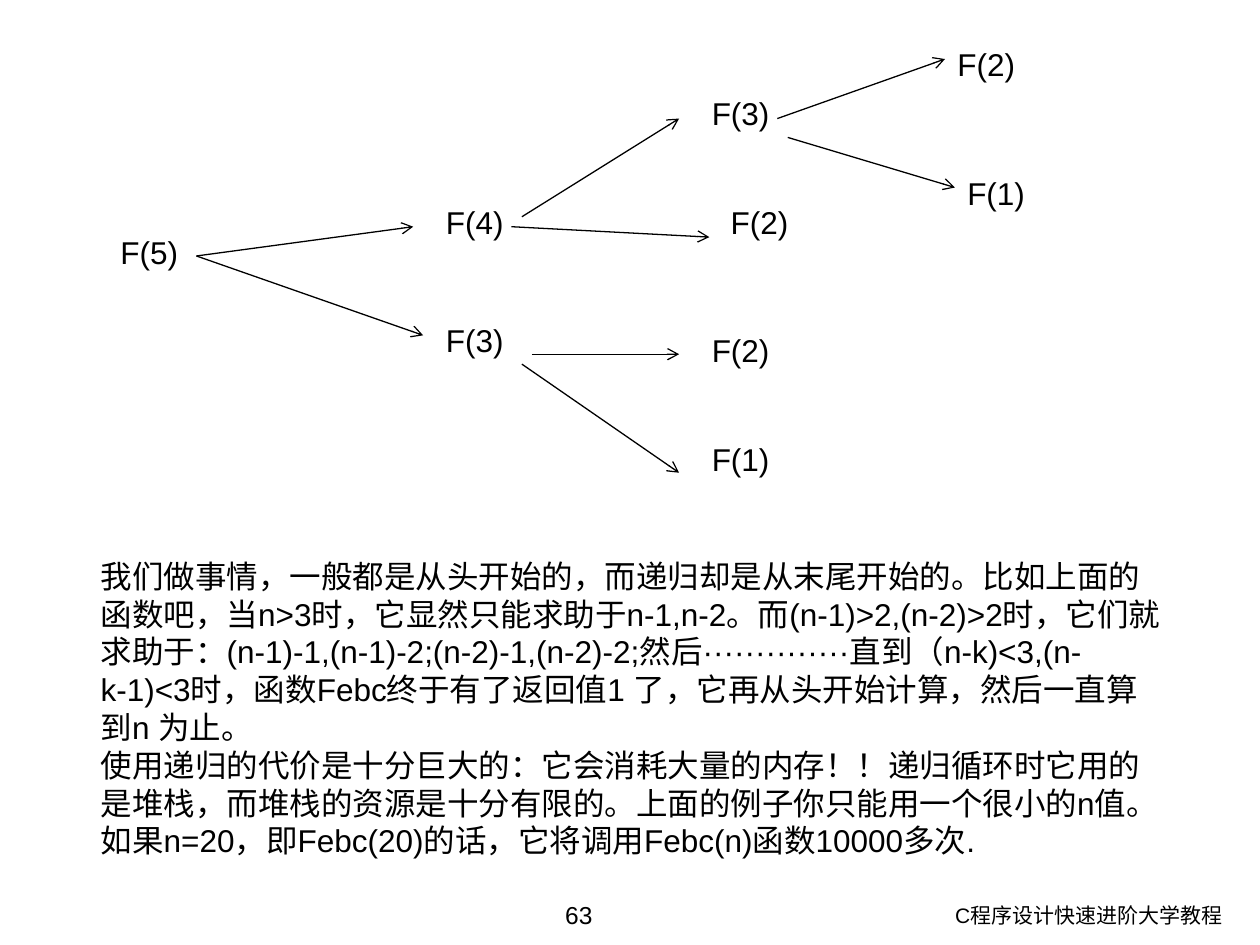
from lxml import etree
from pptx import Presentation
from pptx.dml.color import RGBColor
from pptx.enum.shapes import MSO_CONNECTOR
from pptx.enum.text import MSO_ANCHOR, PP_ALIGN
from pptx.oxml.ns import qn
from pptx.util import Cm, Pt

STRAIGHT = MSO_CONNECTOR.STRAIGHT
TOP = MSO_ANCHOR.TOP
LEFT, CENTER, RIGHT = PP_ALIGN.LEFT, PP_ALIGN.CENTER, PP_ALIGN.RIGHT
COLORS = {"ink": "000000"}
FONT = "Arial"
NODE_HEIGHT = 1.02

CALLS = [
    ("F(5)", 2.18, 4.57, 2.59),
    ("F(4)", 8.74, 3.96, 2.59),
    ("F(3)", 8.74, 6.35, 2.59),
    ("F(3)", 14.1, 1.78, 2.39),
    ("F(2)", 14.48, 3.96, 2.39),
    ("F(2)", 19.05, 0.79, 2.18),
    ("F(1)", 19.25, 3.38, 2.59),
    ("F(2)", 14.1, 6.55, 2.18),
    ("F(1)", 14.1, 8.74, 2.59),
]
ARROWS = [
    ((3.96, 5.16), (8.33, 4.57)),
    ((3.96, 5.16), (8.53, 6.76)),
    ((10.52, 4.37), (13.69, 2.39)),
    ((10.31, 4.57), (14.3, 4.78)),
    ((15.67, 2.39), (19.05, 1.19)),
    ((15.88, 2.77), (19.25, 3.78)),
    ((10.72, 7.14), (13.69, 7.14)),
    ((10.52, 7.34), (13.69, 9.53)),
]
EXPLANATION = [
    "我们做事情，一般都是从头开始的，而递归却是从末尾开始的。比如上面的函数吧，当n>3时，它显然只能求助于n-1,n-2。而(n-1)>2,(n-2)>2时，它们就求助于：(n-1)-1,(n-1)-2;(n-2)-1,(n-2)-2;然后··············直到（n-k)<3,(n-k-1)<3时，函数Febc终于有了返回值1 了，它再从头开始计算，然后一直算到n 为止。",
    "使用递归的代价是十分巨大的：它会消耗大量的内存！！递归循环时它用的是堆栈，而堆栈的资源是十分有限的。上面的例子你只能用一个很小的n值。如果n=20，即Febc(20)的话，它将调用Febc(n)函数10000多次.",
]
TEXTS = [
    (["C程序设计快速进阶大学教程"], (16.69, 18.06, 8.2, 0.99), 12, RIGHT),
    (["63"], (8.71, 18.01, 5.92, 1.04), 14, CENTER),
    (EXPLANATION, (1.78, 11.1, 22.02, 6.5), 18, LEFT),
]


def add_text(slide, paragraphs, place, size, alignment=LEFT):
    frame = slide.shapes.add_textbox(*map(Cm, place)).text_frame
    frame.word_wrap = True
    frame.vertical_anchor = TOP
    for index, text in enumerate(paragraphs):
        paragraph = frame.add_paragraph() if index else frame.paragraphs[0]
        paragraph.alignment = alignment
        run = paragraph.add_run()
        run.text = text
        run.font.name = FONT
        run.font.size = Pt(size)
        run.font.color.rgb = RGBColor.from_string(COLORS["ink"])


def add_arrow(slide, start, end):
    arrow = slide.shapes.add_connector(STRAIGHT, *map(Cm, start + end))
    arrow.line.width = Pt(0.75)
    arrow.line.color.rgb = RGBColor.from_string(COLORS["ink"])
    properties = arrow.element.spPr
    etree.SubElement(properties.find(qn("a:ln")), qn("a:tailEnd"), type="arrow")
    etree.SubElement(properties, qn("a:effectLst"))


def main():
    """Build the recursion tree slide with its explanation."""
    presentation = Presentation()
    presentation.slide_width = Cm(25.4)
    presentation.slide_height = Cm(19.05)
    slide = presentation.slides.add_slide(presentation.slide_layouts[6])
    for paragraphs, place, size, alignment in TEXTS:
        add_text(slide, paragraphs, place, size, alignment)
    for label, left, top, width in CALLS:
        add_text(slide, [label], (left, top, width, NODE_HEIGHT), 18)
    for start, end in ARROWS:
        add_arrow(slide, start, end)
    presentation.save("out.pptx")


if __name__ == "__main__":
    main()
